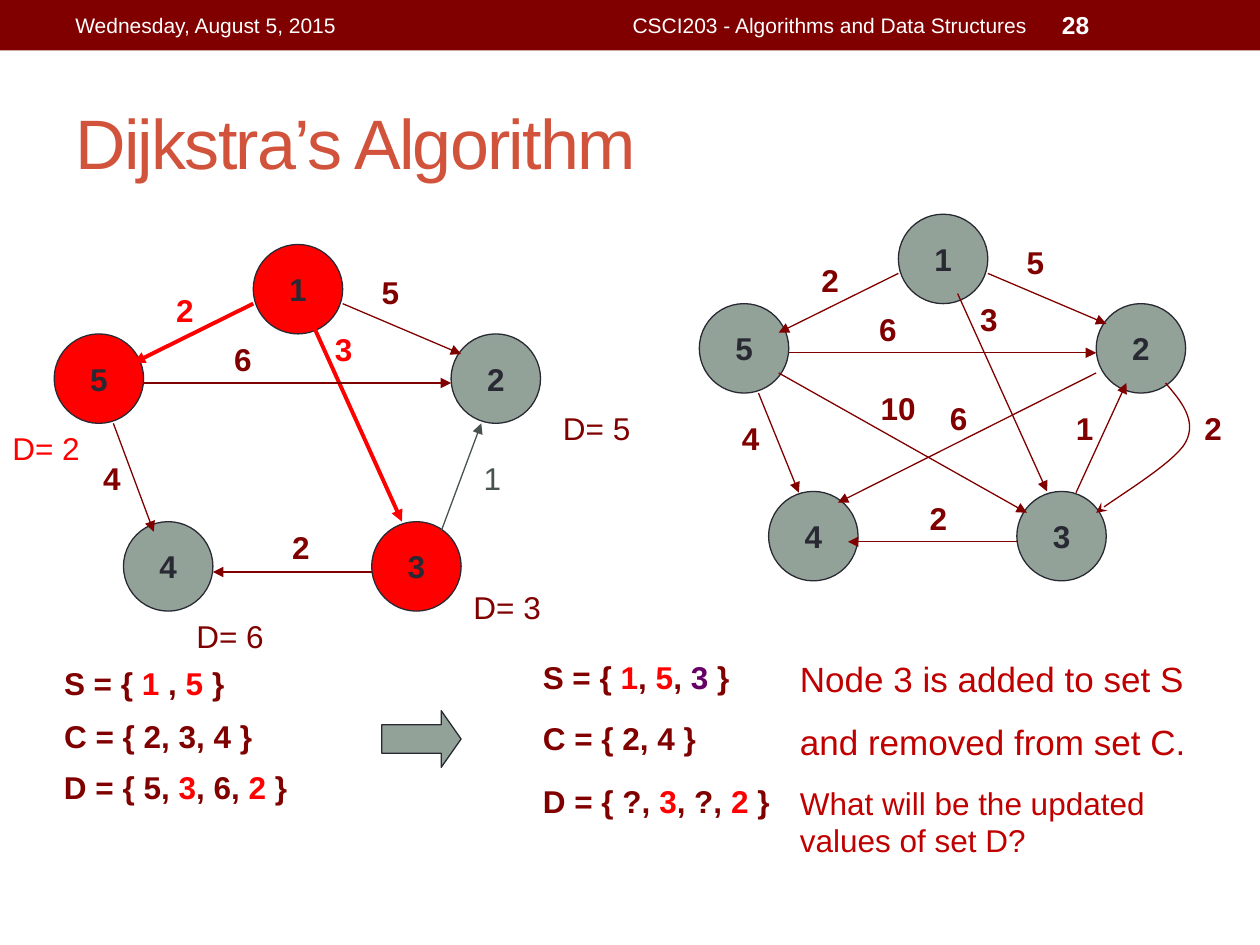
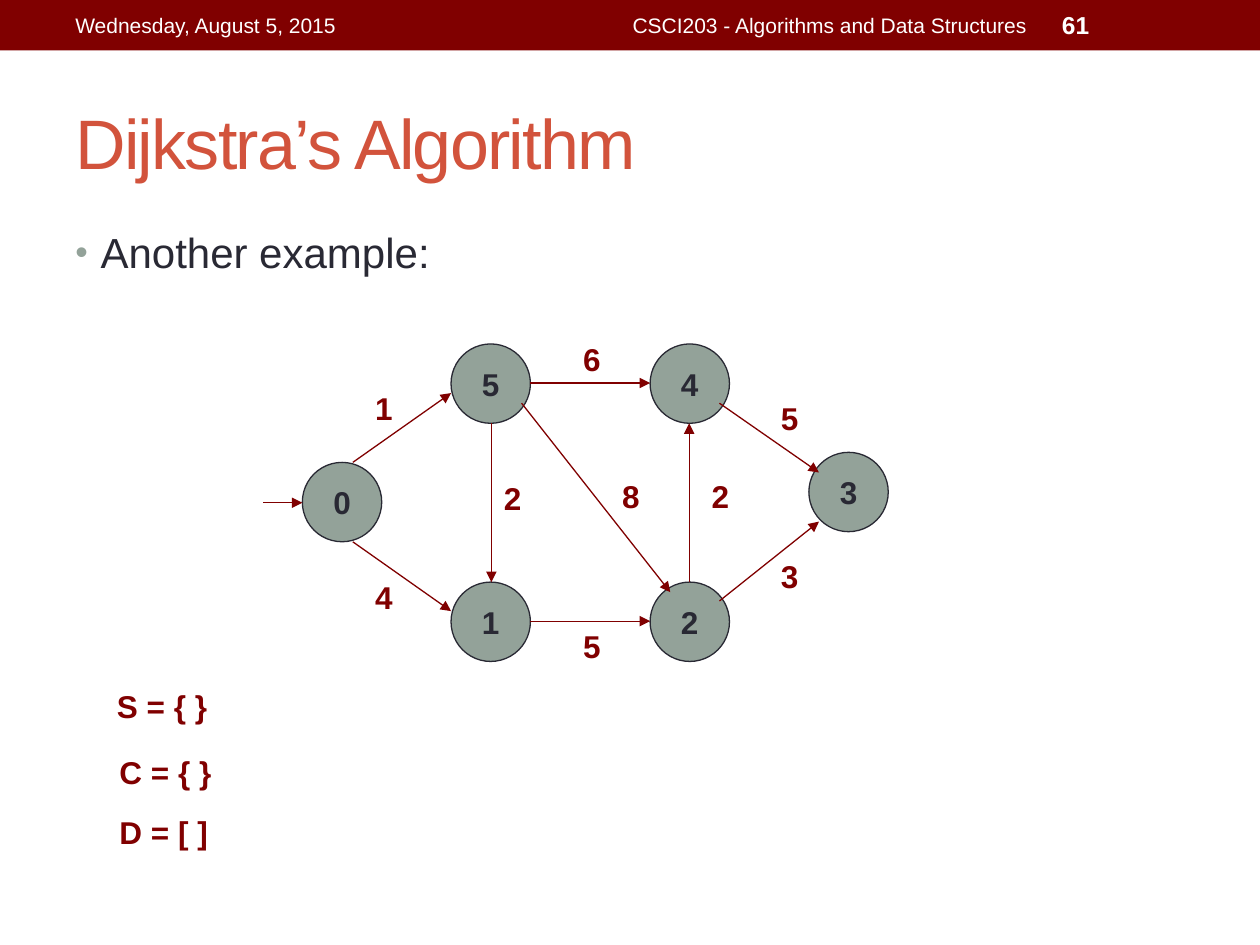
import lxml.etree
import pptx
import pptx.dml.color
import pptx.enum.shapes
import pptx.enum.text
import pptx.oxml.ns
import pptx.util

Inches = pptx.util.Inches
Pt = pptx.util.Pt
SHAPE = pptx.enum.shapes.MSO_SHAPE
ALIGN = pptx.enum.text.PP_ALIGN
MIDDLE = pptx.enum.text.MSO_ANCHOR.MIDDLE
GROW = pptx.enum.text.MSO_AUTO_SIZE.SHAPE_TO_FIT_TEXT

FONT = "Arial"
MAROON, RED, SAGE, INK = "800000", "FF0000", "93A299", "292934"
TITLE, NOTE, PURPLE, SLATE, WHITE = "D2533C", "C00000", "660066", "47534C", "FFFFFF"

PENTAGON = {"1": (1.58, 0), "2": (3.15, 0.71), "3": (2.52, 2.2),
            "4": (0.55, 2.2), "5": (0, 0.71)}
COMMON_EDGES = {
    "1-2": ((2.29, 0.47, 3.23, 0.87), "5", (2.5, 0.18)),
    "1-5": ((1.58, 0.47, 0.63, 0.94), "2", (0.87, 0.32)),
    "1-3": ((2.05, 0.63, 2.76, 2.2), "3", (2.13, 0.63)),
    "5-2": ((0.71, 1.1, 3.15, 1.1), "6", (1.33, 0.71)),
}
STEP_EDGES = COMMON_EDGES | {
    "5-4": ((0.47, 1.42, 0.79, 2.28), "4", (0.29, 1.65)),
    "3-4": ((2.52, 2.6, 1.26, 2.6), "2", (1.79, 2.2)),
    "3-2": ((3.07, 2.28, 3.39, 1.42), "1", (3.31, 1.65)),
}
FULL_EDGES = COMMON_EDGES | {
    "5-4": ((0.47, 1.42, 0.79, 2.21), "4", (0.24, 1.58)),
    "3-4": ((2.52, 2.6, 1.18, 2.6), "2", (1.73, 2.21)),
    "3-2": ((2.99, 2.21, 3.39, 1.34), "1", (2.89, 1.5)),
    "2-4": ((3.15, 1.26, 1.1, 2.29), "6", (1.89, 1.42)),
    "5-3": ((0.63, 1.26, 2.6, 2.37), "10", (1.34, 1.34)),
}
STEP_STYLES = {"1-5": (RED, 2.25, True), "1-3": (RED, 2.25, True),
               "5-2": (MAROON, 1, True), "3-2": (SLATE, 0.75, False)}
RETURN_CURVE = [((3.7, 1.34), (3.83, 1.49), (3.95, 1.64), (3.86, 1.81)),
                ((3.86, 1.81), (3.77, 1.98), (3.27, 2.27), (3.15, 2.37))]

HEXAGON = {"0": (0.31, 0.94), "1": (1.49, 1.89), "5": (1.49, 0),
           "2": (3.07, 1.89), "3": (4.33, 0.86), "4": (3.07, 0)}
HEXAGON_EDGES = {
    "start": ((0, 1.26, 0.31, 1.26), "", None),
    "0-5": ((0.71, 0.94, 1.49, 0.39), "1", (0.79, 0.31)),
    "0-1": ((0.71, 1.57, 1.49, 2.12), "4", (0.79, 1.81)),
    "5-1": ((1.81, 0.63, 1.81, 1.89), "2", (1.81, 1.02)),
    "1-2": ((2.12, 2.2, 3.07, 2.2), "5", (2.44, 2.2)),
    "5-2": ((2.05, 0.47, 3.23, 1.97), "8", (2.75, 1.01)),
    "2-3": ((3.62, 2.04, 4.41, 1.41), "3", (4.01, 1.64)),
    "2-4": ((3.38, 1.89, 3.38, 0.63), "2", (3.46, 1.01)),
    "4-3": ((3.62, 0.47, 4.41, 1.02), "5", (4.01, 0.39)),
    "5-4": ((2.12, 0.31, 3.07, 0.31), "6", (2.44, -0.08)),
}


def rgb(value):
    """Turn a hex string into a colour."""
    return pptx.dml.color.RGBColor.from_string(value)


def sub(parent, tag, **attrs):
    """Append a DrawingML element."""
    return lxml.etree.SubElement(parent, pptx.oxml.ns.qn(tag), attrs)


def add_run(p, text, size, color, bold=False):
    """Add one formatted run to a paragraph."""
    r = p.add_run()
    r.text = text
    r.font.name = FONT
    r.font.size = Pt(size)
    r.font.bold = bold
    r.font.color.rgb = rgb(color)
    return r


def add_text(s, box, runs, size=18, bold=False, wrap=False, anchor=None, align=None):
    """Add a one-paragraph text box from (text, colour) runs."""
    tf = s.shapes.add_textbox(*map(Inches, box)).text_frame
    tf.word_wrap = wrap
    if not wrap:
        tf.auto_size = GROW
    tf.vertical_anchor = anchor
    p = tf.paragraphs[0]
    p.alignment = align
    for text, color in runs:
        add_run(p, text, size, color, bold)
    return p


def add_preset(s, kind, box, fill, line=None):
    """Add a flat preset shape."""
    sp = s.shapes.add_shape(kind, *map(Inches, box))
    sp.shadow.inherit = False
    sp.fill.solid()
    sp.fill.fore_color.rgb = rgb(fill)
    if line:
        sp.line.color.rgb = rgb(line)
        sp.line.width = Pt(0.75)
    else:
        sp.line.fill.background()
    return sp


def style_arrow(sp, color, width, head="triangle"):
    """Colour a line and put an arrowhead at its end."""
    sp.line.color.rgb = rgb(color)
    sp.line.width = Pt(width)
    sub(sp.line._get_or_add_ln(), "a:tailEnd", type=head)


def add_arrow(s, ends, color, width):
    """Add a straight arrow."""
    c = s.shapes.add_connector(pptx.enum.shapes.MSO_CONNECTOR.STRAIGHT, *map(Inches, ends))
    style_arrow(c, color, width)
    sub(c._element.spPr, "a:effectLst")


def add_curve(s, left, top, segments, steps=16):
    """Add a curved arrow along cubic segments."""
    points = []
    for a, b, c, d in segments:
        for i in range(steps + 1):
            t = i / steps
            u = 1 - t
            points.append(tuple(
                Inches(o + u**3 * a[k] + 3 * u * u * t * b[k] + 3 * u * t * t * c[k] + t**3 * d[k])
                for k, o in enumerate((left, top))))
    fb = s.shapes.build_freeform(*points[0])
    fb.add_line_segments(points[1:], close=False)
    sp = fb.convert_to_shape()
    sp.shadow.inherit = False
    sp.fill.background()
    style_arrow(sp, MAROON, 0.75, "stealth")


def add_weight(s, left, top, text, color=MAROON, bold=True):
    """Add the weight of an edge."""
    add_text(s, (left, top, 0.2 + 0.14 * len(text), 0.4), [(text, color)], bold=bold)


def add_graph(s, left, top, size, nodes, edges, visited=(), styles=None):
    """Draw nodes, arrows and weights relative to a corner."""
    for name, (x, y) in nodes.items():
        sp = add_preset(s, SHAPE.OVAL, (left + x, top + y, size, size),
                        RED if name in visited else SAGE, INK)
        tf = sp.text_frame
        tf.word_wrap = False
        tf.vertical_anchor = MIDDLE
        tf.paragraphs[0].alignment = ALIGN.CENTER
        add_run(tf.paragraphs[0], name, 18, INK, True)
    for name, ((x1, y1, x2, y2), weight, spot) in edges.items():
        color, width, bold = (styles or {}).get(name, (MAROON, 0.75, True))
        add_arrow(s, (left + x1, top + y1, left + x2, top + y2), color, width)
        if weight:
            add_weight(s, left + spot[0], top + spot[1], weight, color, bold)


def add_sets(s, left, rows):
    """Write the sets S, C and D as bold rows."""
    for dx, top, width, runs in rows:
        add_text(s, (left + dx, top, width, 0.4), runs, bold=True)


def add_slide(prs, number):
    """Add a slide with the band, its texts and the title."""
    s = prs.slides.add_slide(prs.slide_layouts[6])
    add_preset(s, SHAPE.RECTANGLE, (0, 0, 10, 0.4), MAROON)
    for left, width, text, size, bold, align in (
            (0.5, 3.17, "Wednesday, August 5, 2015", 12, False, ALIGN.LEFT),
            (3.75, 4.5, "CSCI203 - Algorithms and Data Structures", 12, False, ALIGN.RIGHT),
            (8.33, 1.17, number, 14, True, ALIGN.LEFT)):
        add_text(s, (left, 0.02, width, 0.36), [(text, WHITE)], size, bold, True, MIDDLE, align)
    p = add_text(s, (0.5, 0.58, 9, 1.08), [("Dijkstra’s Algorithm", TITLE)], 40,
                 wrap=True, anchor=MIDDLE)
    p.runs[0]._r.get_or_add_rPr().set("spc", "-100")
    return s


def build_step(prs):
    """Build the slide on adding node 3 to set S."""
    s = add_slide(prs, "28")
    add_graph(s, 0.43, 1.94, 0.71, PENTAGON, STEP_EDGES, "135", STEP_STYLES)
    add_graph(s, 5.55, 1.7, 0.71, PENTAGON, FULL_EDGES)
    add_curve(s, 5.55, 1.7, RETURN_CURVE)
    add_weight(s, 9.46, 3.2, "2")
    for left, top, text, color in ((0, 3.36, "D= 2", RED), (1.46, 4.85, "D= 6", MAROON),
                                   (3.66, 4.62, "D= 3", MAROON), (4.37, 3.2, "D= 5", MAROON)):
        add_text(s, (left, top, 0.74, 0.4), [(text, color)])
    add_sets(s, 0.41, [
        (0, 5.22, 1.48, [("S = { ", MAROON), ("1", RED), (" ,", MAROON), (" 5", RED),
                         (" }", MAROON)]),
        (0, 5.64, 1.72, [("C = { 2, 3, 4 }", MAROON)]),
        (0, 6.05, 2, [("D = { 5, ", MAROON), ("3", RED), (", 6, ", MAROON), ("2", RED),
                      (" }", MAROON)])])
    arrow = add_preset(s, SHAPE.RIGHT_ARROW, (3.03, 5.64, 0.63, 0.45), SAGE, INK)
    arrow.adjustments[1] = 0.35
    add_sets(s, 4.21, [
        (0, 5.17, 1.7, [("S = { ", MAROON), ("1", RED), (", ", MAROON), ("5", RED),
                        (", ", MAROON), ("3 ", PURPLE), ("}", MAROON)]),
        (0, 5.66, 1.43, [("C = { 2, 4 }", MAROON)]),
        (0, 6.16, 2.09, [("D = { ?, ", MAROON), ("3", RED), (", ?, ", MAROON), ("2 ", RED),
                         ("}", MAROON)])])
    p = add_text(s, (6.25, 5, 3.59, 1.11),
                 [("Node 3 is added to set S and removed from set C.", NOTE)], 20, wrap=True)
    p.line_spacing = 1.5
    add_text(s, (6.25, 6.17, 3.2, 0.71),
             [("What will be the updated values of set D?", NOTE)], wrap=True)


def build_example(prs):
    """Build the slide with the second example."""
    s = add_slide(prs, "61")
    p = add_text(s, (0.5, 1.75, 9, 5.33), [("Another example:", INK)], 24, wrap=True)
    pPr = p._p.get_or_add_pPr()
    pPr.set("marL", str(Inches(0.2)))
    pPr.set("indent", str(Inches(-0.2)))
    sub(sub(pPr, "a:buClr"), "a:srgbClr", val=SAGE)
    sub(pPr, "a:buSzPct", val="85000")
    sub(pPr, "a:buFont", typeface=FONT)
    sub(pPr, "a:buChar", char="•")
    add_graph(s, 2.09, 2.73, 0.63, HEXAGON, HEXAGON_EDGES)
    add_sets(s, 0.83, [(0, 5.4, 0.92, [("S = { }", MAROON)]),
                       (0.02, 5.93, 0.93, [("C = { }", MAROON)]),
                       (0.02, 6.4, 0.9, [("D = [ ]", MAROON)])])


def main():
    """Build and save the presentation."""
    prs = pptx.Presentation()
    prs.slide_width, prs.slide_height = Inches(10), Inches(7.5)
    build_step(prs)
    build_example(prs)
    prs.save("out.pptx")


if __name__ == "__main__":
    main()
